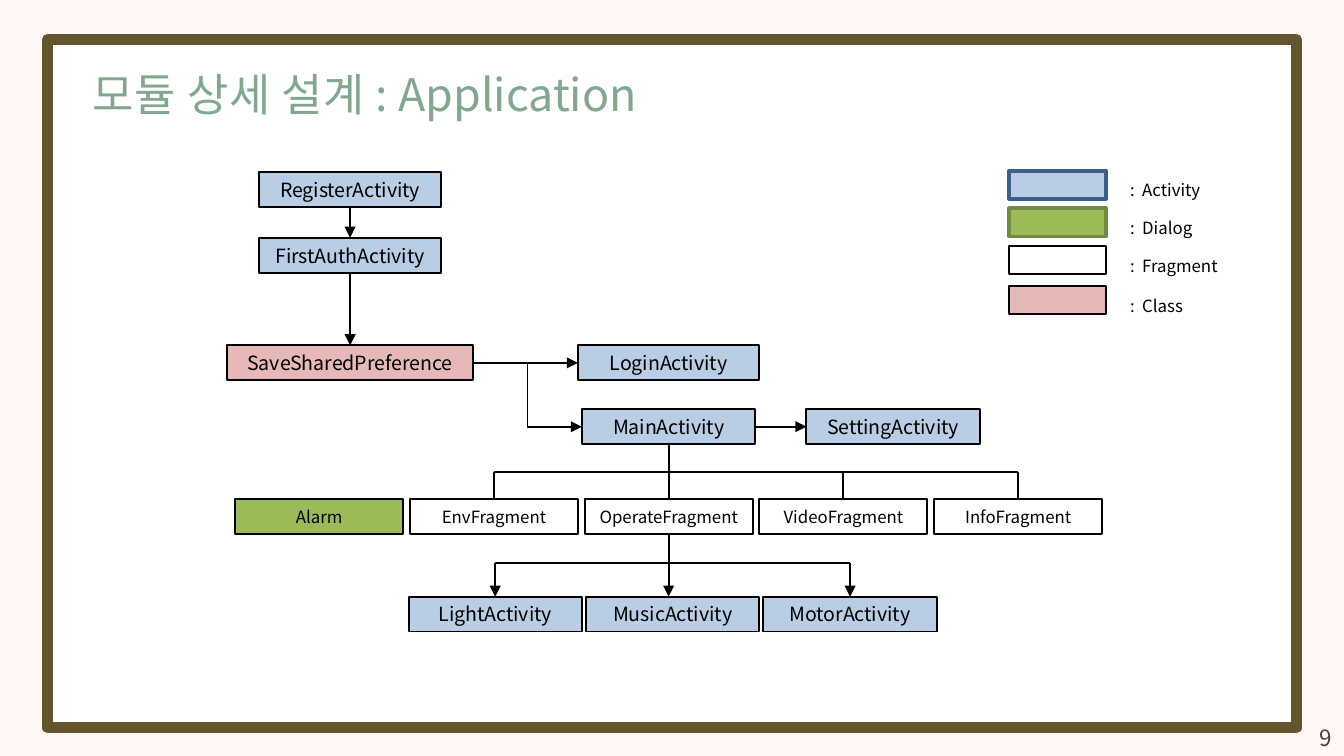
from lxml.etree import SubElement
from pptx import Presentation
from pptx.dml.color import RGBColor
from pptx.enum.shapes import MSO_CONNECTOR as CONN, MSO_SHAPE as SHAPE
from pptx.enum.text import MSO_ANCHOR as ANCHOR, PP_ALIGN as ALIGN
from pptx.oxml.ns import qn
from pptx.util import Inches, Pt

FONT = "Noto Sans CJK KR"
BLUE, GREEN, WHITE, PINK, BLACK = "B9CDE5", "9BBB59", "FFFFFF", "E6B9B8", "000000"
TOP, LEFT, BOTTOM, RIGHT = range(4)

prs = Presentation()
prs.slide_width = Inches(10)
prs.slide_height = prs.slide_width * 9 // 16
s = prs.slides.add_slide(prs.slide_layouts[6])
COL = ROW = prs.slide_width // 100
rgb = RGBColor.from_string
s.background.fill.solid()
s.background.fill.fore_color.rgb = rgb("FFF8F5")


def box(x, y, w, h, text="", size=10.5, fill=None, line=BLACK, weight=1, color=BLACK, align=ALIGN.CENTER):
    area = int(x * COL), int(y * ROW), int(w * COL), int(h * ROW)
    if fill:
        sp = s.shapes.add_shape(SHAPE.RECTANGLE, *area)
        sp.shadow.inherit = False
        sp.fill.solid()
        sp.fill.fore_color.rgb = rgb(fill)
        sp.line.color.rgb = rgb(line)
        sp.line.width = Pt(weight)
    else:
        sp = s.shapes.add_textbox(*area)
    tf = sp.text_frame
    tf.word_wrap = not fill
    tf.vertical_anchor = ANCHOR.MIDDLE
    p = tf.paragraphs[0]
    p.alignment = align
    for part in [text] if isinstance(text, str) else text:
        if part:
            r = p.add_run()
            r.text = part
            r.font.size, r.font.name = Pt(size), FONT
            r.font.color.rgb = rgb(color)
            SubElement(r.font._element, qn("a:ea"), typeface=FONT)
    return sp


def link(x1, y1, x2, y2, begin=None, end=None, arrow=True, kind=CONN.STRAIGHT):
    c = s.shapes.add_connector(kind, int(x1 * COL), int(y1 * ROW), int(x2 * COL), int(y2 * ROW))
    if begin:
        c.begin_connect(*begin)
    if end:
        c.end_connect(*end)
    c.line.color.rgb = rgb(BLACK)
    c.line.width = Pt(1)
    if arrow:
        SubElement(c.line._get_or_add_ln(), qn("a:tailEnd"), type="triangle")
    SubElement(c._element.spPr, qn("a:effectLst"))


box(3.55, 2.95, 92.9, 51.2, fill=WHITE, line="64552E", weight=6)
title = box(5.9, 4.5, 47.6, 5, ["모듈 상세 설계", " : Application"], 24, color="81A78F", align=ALIGN.LEFT)
title.text_frame.paragraphs[0].runs[0].font._element.set("spc", "40")
box(97.1, 53.4, 3.1, 3, "9", 12, color="404040")

legend = [
    ("Activity", 12.7, BLUE, "3A5F8C", 2),
    ("Dialog", 15.5, GREEN, "738A42", 2),
    ("Fragment", 18.3, WHITE, BLACK, 1),
    ("Class", 21.3, PINK, BLACK, 1),
]
for name, y, fill, line, weight in legend:
    box(75.1, y, 7.2, 2.1, fill=fill, line=line, weight=weight)
    label = box(83.1, y + 0.2, 9.2, 2.5, ":\t" + name, 9, align=ALIGN.LEFT)
    tabs = SubElement(label.text_frame.paragraphs[0]._p.get_or_add_pPr(), qn("a:tabLst"))
    SubElement(tabs, qn("a:tab"), pos=str(int(0.9 * COL)), algn="l")

register = box(19.3, 12.8, 13.5, 2.6, "RegisterActivity", fill=BLUE)
first_auth = box(19.3, 17.7, 13.5, 2.6, "FirstAuthActivity", fill=BLUE)
save = box(16.9, 25.7, 18.3, 2.6, "SaveSharedPreference", fill=PINK)
login = box(43, 25.7, 13.5, 2.6, "LoginActivity", fill=BLUE)
main = box(43.3, 30.45, 12.9, 2.6, "MainActivity", fill=BLUE)
setting = box(60, 30.45, 12.9, 2.6, "SettingActivity", fill=BLUE)

names = ["Alarm", "EnvFragment", "OperateFragment", "VideoFragment", "InfoFragment"]
alarm, env, operate, video, info = [
    box(17.5 + 13 * i, 37.15, 12.5, 2.6, name, 9, WHITE if i else GREEN) for i, name in enumerate(names)
]
light, music, motor = [
    box(30.4 + 13.2 * i, 44.4, 12.9, 2.6, name, fill=BLUE)
    for i, name in enumerate(["LightActivity", "MusicActivity", "MotorActivity"])
]

link(26.05, 15.4, 26.05, 17.7, (register, BOTTOM), (first_auth, TOP))
link(26.05, 20.3, 26.05, 25.7, (first_auth, BOTTOM), (save, TOP))
link(35.2, 27, 43.3, 31.75, (save, RIGHT), (main, LEFT), kind=CONN.ELBOW)
link(39.3, 27, 43, 27, end=(login, LEFT))
link(56.2, 31.75, 60, 31.75, (main, RIGHT), (setting, LEFT))
link(49.75, 33.05, 49.75, 37.15, (main, BOTTOM), (operate, TOP), arrow=False)
link(49.75, 39.75, 49.75, 44.4, (operate, BOTTOM))

link(36.75, 35.15, 75.75, 35.15, arrow=False)
for x, target in [(36.75, env), (62.75, video), (75.75, info)]:
    link(x, 35.15, x, 37.15, end=(target, TOP), arrow=False)
link(36.85, 41.9, 63.25, 41.9, arrow=False)
for x, target in [(36.85, light), (63.25, motor)]:
    link(x, 41.9, x, 44.4, end=(target, TOP))

prs.save("out.pptx")
